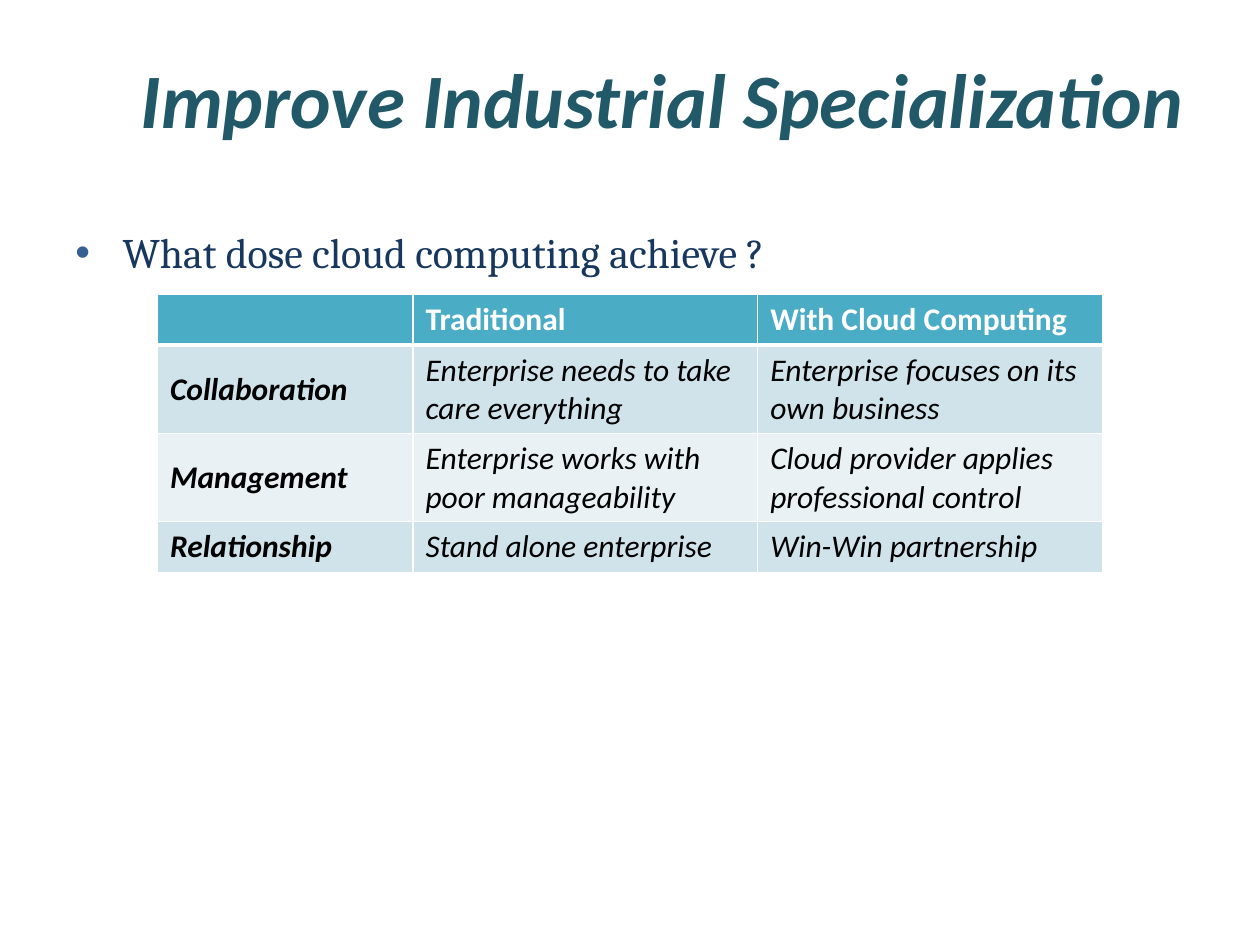
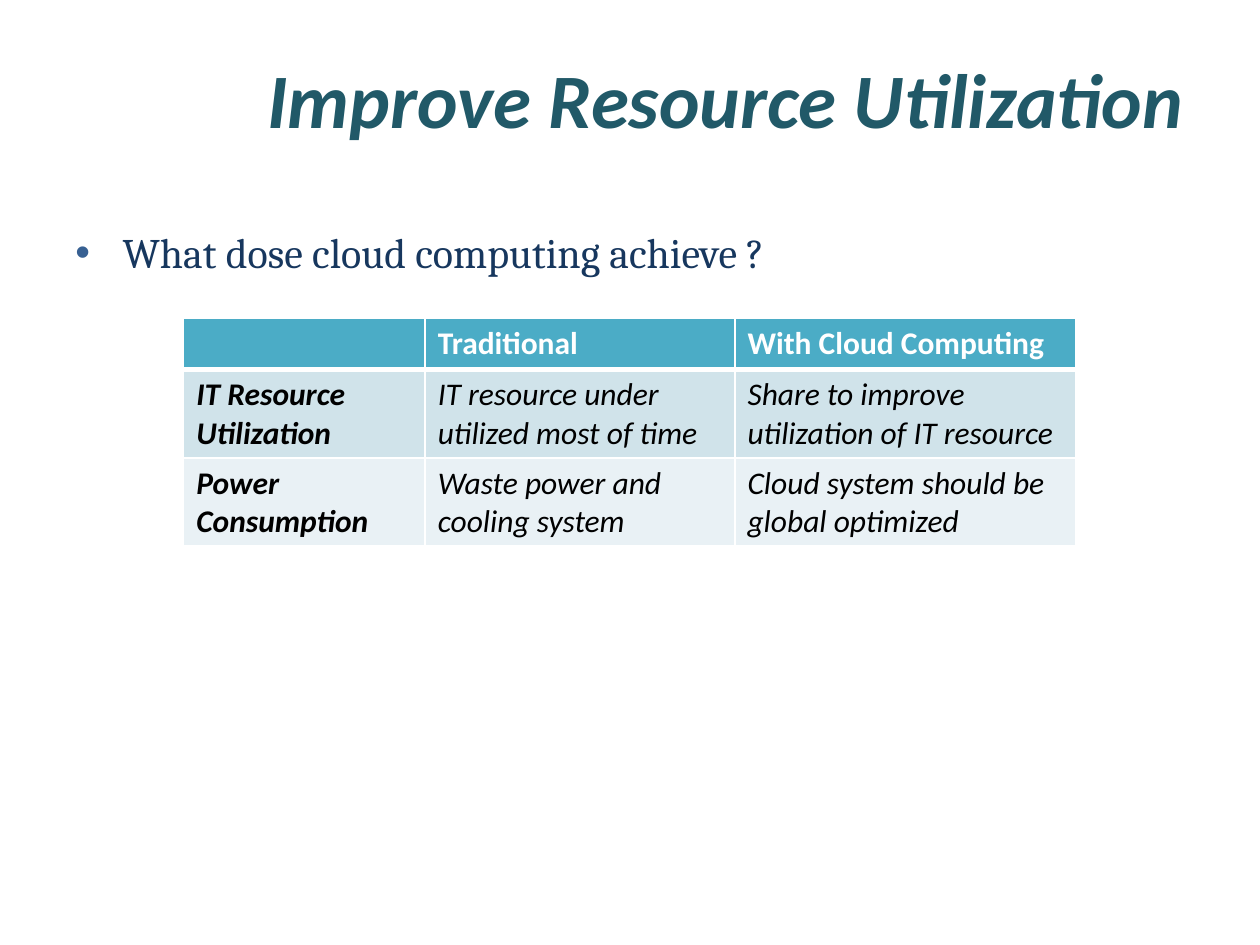
import dataclasses

import lxml.etree
import pptx
import pptx.dml.color
import pptx.enum.text
import pptx.oxml
import pptx.oxml.ns
import pptx.util

Pt = pptx.util.Pt
Anchor = pptx.enum.text.MSO_ANCHOR
Align = pptx.enum.text.PP_ALIGN


@dataclasses.dataclass(frozen=True)
class Theme:
    title_color: str = "215968"
    question_color: str = "17375E"
    bullet_color: str = "376092"
    header_fill: str = "4BACC6"
    band_fills: tuple = ("D0E3EA", "E9F1F5")
    light: str = "FFFFFF"
    dark: str = "000000"
    heading_font: str = "Calibri"
    question_font: str = "Cambria"
    title_size: float = 44
    question_size: float = 24
    cell_size: float = 18
    thin_border: float = 1
    header_border: float = 3


THEME = Theme()
SLIDE_WIDTH, SLIDE_HEIGHT = 720, 540
TITLE_BOX = (36, 21.6, 648, 68.4)
QUESTION_BOX = (36, 126, 648, 36)
ROW_HEIGHT = 29.2
QUESTION = "What dose cloud computing achieve ?"
HEADER = ("", "Traditional", "With Cloud Computing")

SLIDES = (
    {
        "title": "Improve Industrial Specialization",
        "top": 168,
        "height": 159.2,
        "widths": (146, 197, 197),
        "rows": (
            ("Collaboration", "Enterprise needs to take care everything",
             "Enterprise focuses on its own business"),
            ("Management", "Enterprise works with poor manageability",
             "Cloud provider applies professional control"),
            ("Relationship", "Stand alone enterprise", "Win-Win partnership"),
        ),
    },
    {
        "title": "Improve Resource Utilization",
        "top": 182,
        "height": 130.3,
        "widths": (138, 177, 195),
        "rows": (
            ("IT Resource Utilization", "IT resource under utilized most of time",
             "Share to improve utilization of IT resource"),
            ("Power Consumption", "Waste power and cooling system",
             "Cloud system should be global optimized"),
        ),
    },
)


def rgb(color):
    return pptx.dml.color.RGBColor.from_string(color)


def write_text(paragraph, text, *, size, color, font=THEME.heading_font,
               bold=False, italic=False, align=Align.LEFT):
    paragraph.alignment = align
    run = paragraph.add_run()
    run.text = text
    run.font.name = font
    run.font.size = Pt(size)
    run.font.bold = bold
    run.font.italic = italic
    run.font.color.rgb = rgb(color)


def add_text_box(slide, box, anchor):
    frame = slide.shapes.add_textbox(*map(Pt, box)).text_frame
    frame.word_wrap = True
    frame.vertical_anchor = anchor
    return frame.paragraphs[0]


def add_bullet(paragraph, character, color, indent):
    properties = paragraph._p.get_or_add_pPr()
    properties.set("marL", str(Pt(indent)))
    properties.set("indent", str(-Pt(indent)))
    namespace = pptx.oxml.ns.nsdecls("a")
    for xml in (
        f'<a:buClr {namespace}><a:srgbClr val="{color}"/></a:buClr>',
        f'<a:buFont {namespace} typeface="Arial"/>',
        f'<a:buChar {namespace} char="{character}"/>',
    ):
        properties.append(pptx.oxml.parse_xml(xml))


def set_borders(cell, color, **widths):
    properties = cell._tc.get_or_add_tcPr()
    qn = pptx.oxml.ns.qn
    for side in ("L", "R", "T", "B"):
        width = widths.get(side, THEME.thin_border)
        line = lxml.etree.SubElement(properties, qn(f"a:ln{side}"), w=str(Pt(width)))
        fill = lxml.etree.SubElement(line, qn("a:solidFill"))
        lxml.etree.SubElement(fill, qn("a:srgbClr"), val=color)


def add_title(slide, box, text):
    paragraph = add_text_box(slide, box, Anchor.MIDDLE)
    write_text(paragraph, text, size=THEME.title_size, color=THEME.title_color,
               bold=True, italic=True, align=Align.RIGHT)


def add_question(slide, box, text):
    paragraph = add_text_box(slide, box, Anchor.TOP)
    add_bullet(paragraph, "•", THEME.bullet_color, 27)
    write_text(paragraph, text, size=THEME.question_size,
               color=THEME.question_color, font=THEME.question_font)


def style_cell(cell, text, row, column):
    is_header = row == 0
    heavy_side = {0: "B", 1: "T"}.get(row)
    set_borders(cell, THEME.light, **({heavy_side: THEME.header_border} if heavy_side else {}))
    cell.fill.solid()
    cell.fill.fore_color.rgb = rgb(
        THEME.header_fill if is_header else THEME.band_fills[(row - 1) % 2])
    cell.vertical_anchor = Anchor.TOP if is_header else Anchor.MIDDLE
    if text:
        write_text(cell.text_frame.paragraphs[0], text, size=THEME.cell_size,
                   color=THEME.light if is_header else THEME.dark,
                   bold=is_header or column == 0, italic=not is_header)


def add_comparison(slide, box, widths, rows):
    shape = slide.shapes.add_table(len(rows), len(widths), *map(Pt, box))
    table = shape.table
    for column, width in zip(table.columns, widths):
        column.width = Pt(width)
    for row_index, texts in enumerate(rows):
        table.rows[row_index].height = Pt(ROW_HEIGHT)
        for column_index, text in enumerate(texts):
            style_cell(table.cell(row_index, column_index), text, row_index, column_index)
    shape.height = Pt(box[3])


def add_comparison_slide(presentation, content):
    slide = presentation.slides.add_slide(presentation.slide_layouts[6])
    add_title(slide, TITLE_BOX, content["title"])
    add_question(slide, QUESTION_BOX, QUESTION)
    width = sum(content["widths"])
    box = ((SLIDE_WIDTH - width) / 2, content["top"], width, content["height"])
    add_comparison(slide, box, content["widths"], (HEADER, *content["rows"]))


def main():
    presentation = pptx.Presentation()
    presentation.slide_width = Pt(SLIDE_WIDTH)
    presentation.slide_height = Pt(SLIDE_HEIGHT)
    for content in SLIDES:
        add_comparison_slide(presentation, content)
    presentation.save("out.pptx")


if __name__ == "__main__":
    main()
